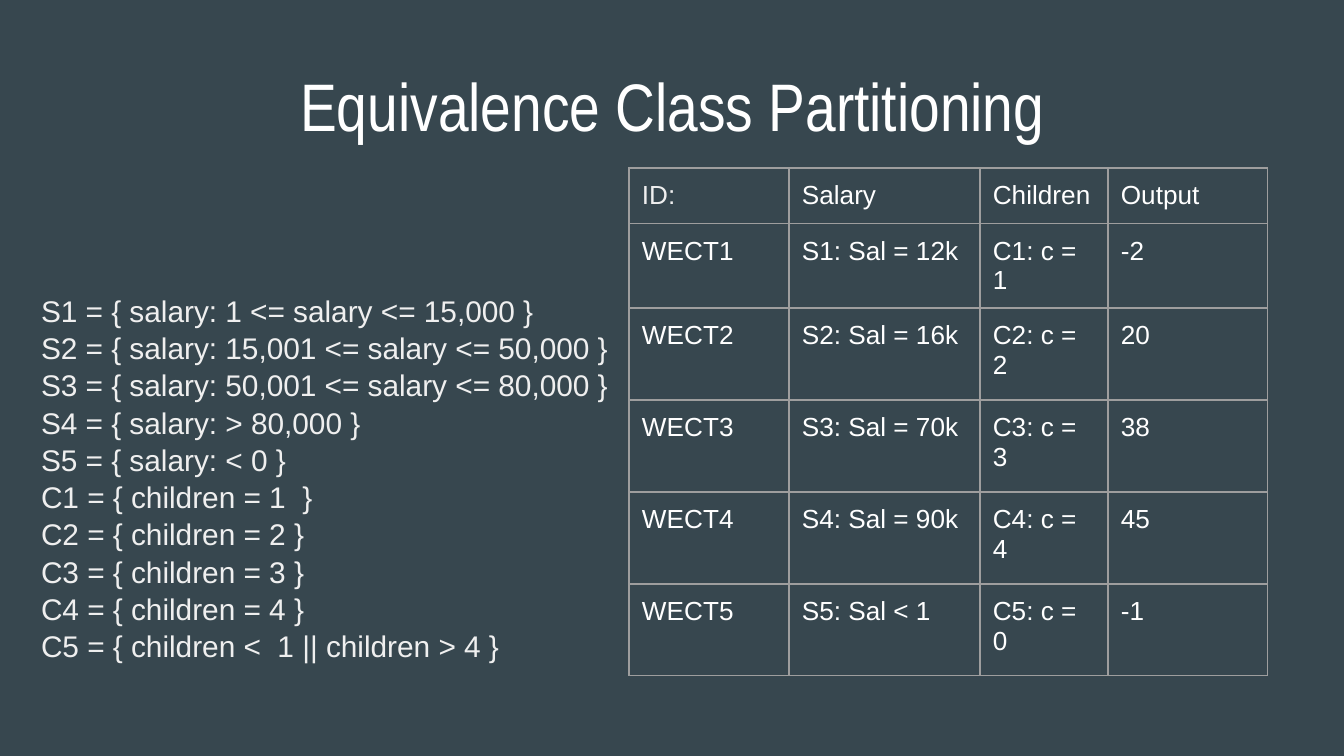
"""Build a slide on equivalence class partitioning with a list and a test table."""
from lxml import etree
from pptx import Presentation
from pptx.dml.color import RGBColor
from pptx.enum.text import MSO_ANCHOR, MSO_AUTO_SIZE, PP_ALIGN
from pptx.oxml.ns import qn
from pptx.util import Emu, Pt

MIDDLE, TOP = MSO_ANCHOR.MIDDLE, MSO_ANCHOR.TOP
CENTER, LEFT = PP_ALIGN.CENTER, PP_ALIGN.LEFT
FIXED = MSO_AUTO_SIZE.NONE
SCALE = 914400 / 134.4
COLORS = {"back": "37474F", "pale": "EFEFEF", "white": "FFFFFF", "rule": "9E9E9E"}
SIDES = ("left", "top", "width", "height")
SETS = [
    "S1 = { salary: 1 <= salary <= 15,000 }",
    "S2 = { salary: 15,001 <= salary <= 50,000 }",
    "S3 = { salary: 50,001 <= salary <= 80,000 }",
    "S4 = { salary: > 80,000 }",
    "S5 = { salary: < 0 }",
    "C1 = { children = 1  }",
    "C2 = { children = 2 }",
    "C3 = { children = 3 }",
    "C4 = { children = 4 }",
    "C5 = { children <  1 || children > 4 }",
]
CASES = [
    ("ID:", "Salary", "Children", "Output"),
    ("WECT1", "S1: Sal = 12k", "C1: c = 1", "-2"),
    ("WECT2", "S2: Sal = 16k", "C2: c = 2", "20"),
    ("WECT3", "S3: Sal = 70k", "C3: c = 3", "38"),
    ("WECT4", "S4: Sal = 90k", "C4: c = 4", "45"),
    ("WECT5", "S5: Sal < 1", "C5: c = 0", "-1"),
]
WIDTHS = (160, 191, 128, 160)
HEIGHTS = (44, 69, 92, 92, 92, 92)


def px(count):
    return Emu(round(count * SCALE))


def write(frame, lines, size, color, font="Arial", align=LEFT, pitch=1.0):
    frame.text = "\n".join(lines)
    for para in frame.paragraphs:
        props = para._p.get_or_add_pPr()
        props.set("marL", "0")
        props.set("indent", "0")
        etree.SubElement(props, qn("a:buNone"))
        form = {"alignment": align, "line_spacing": pitch,
                "space_before": Pt(0), "space_after": Pt(0)}
        for name, value in form.items():
            setattr(para, name, value)
        face = para.runs[0].font
        for name, value in {"name": font, "size": Pt(size), "bold": False}.items():
            setattr(face, name, value)
        face.color.rgb = RGBColor.from_string(COLORS[color])


deck = Presentation()
deck.slide_width, deck.slide_height = px(1344), px(756)
slide = deck.slides.add_slide(deck.slide_layouts[1])
back = slide.background.fill
back.solid()
back.fore_color.rgb = RGBColor.from_string(COLORS["back"])

title, body = slide.placeholders
for shape, box, anchor in (
    (title, (95, 42, 1155, 126), MIDDLE),
    (body, (28, 278, 601, 441), TOP),
):
    for side, value in zip(SIDES, box):
        setattr(shape, side, px(value))
    frame = shape.text_frame
    form = {"vertical_anchor": anchor, "auto_size": FIXED, "word_wrap": True}
    form.update({f"margin_{side}": px(13) for side in ("left", "right", "top", "bottom")})
    for name, value in form.items():
        setattr(frame, name, value)
write(title.text_frame, ["Equivalence Class Partitioning"], 36, "white", "Arial Narrow", CENTER)
write(body.text_frame, SETS, 16, "pale", pitch=1.04)

table = slide.shapes.add_table(
    len(CASES), len(WIDTHS), px(629), px(168), px(sum(WIDTHS)), px(sum(HEIGHTS))
).table
table.first_row = table.horz_banding = False
for col, width in zip(table.columns, WIDTHS):
    col.width = px(width)
for row, height, case in zip(table.rows, HEIGHTS, CASES):
    row.height = px(height)
    for cell, text in zip(row.cells, case):
        write(cell.text_frame, [text], 14, "pale" if text == "ID:" else "white")
        for side in ("left", "right", "top", "bottom"):
            setattr(cell, f"margin_{side}", px(13))
        props = cell._tc.get_or_add_tcPr()
        for tag in ("a:lnL", "a:lnR", "a:lnT", "a:lnB"):
            line = etree.SubElement(props, qn(tag), w=str(Pt(0.75)))
            fill = etree.SubElement(line, qn("a:solidFill"))
            etree.SubElement(fill, qn("a:srgbClr"), val=COLORS["rule"])
        cell.fill.background()

deck.save("out.pptx")
